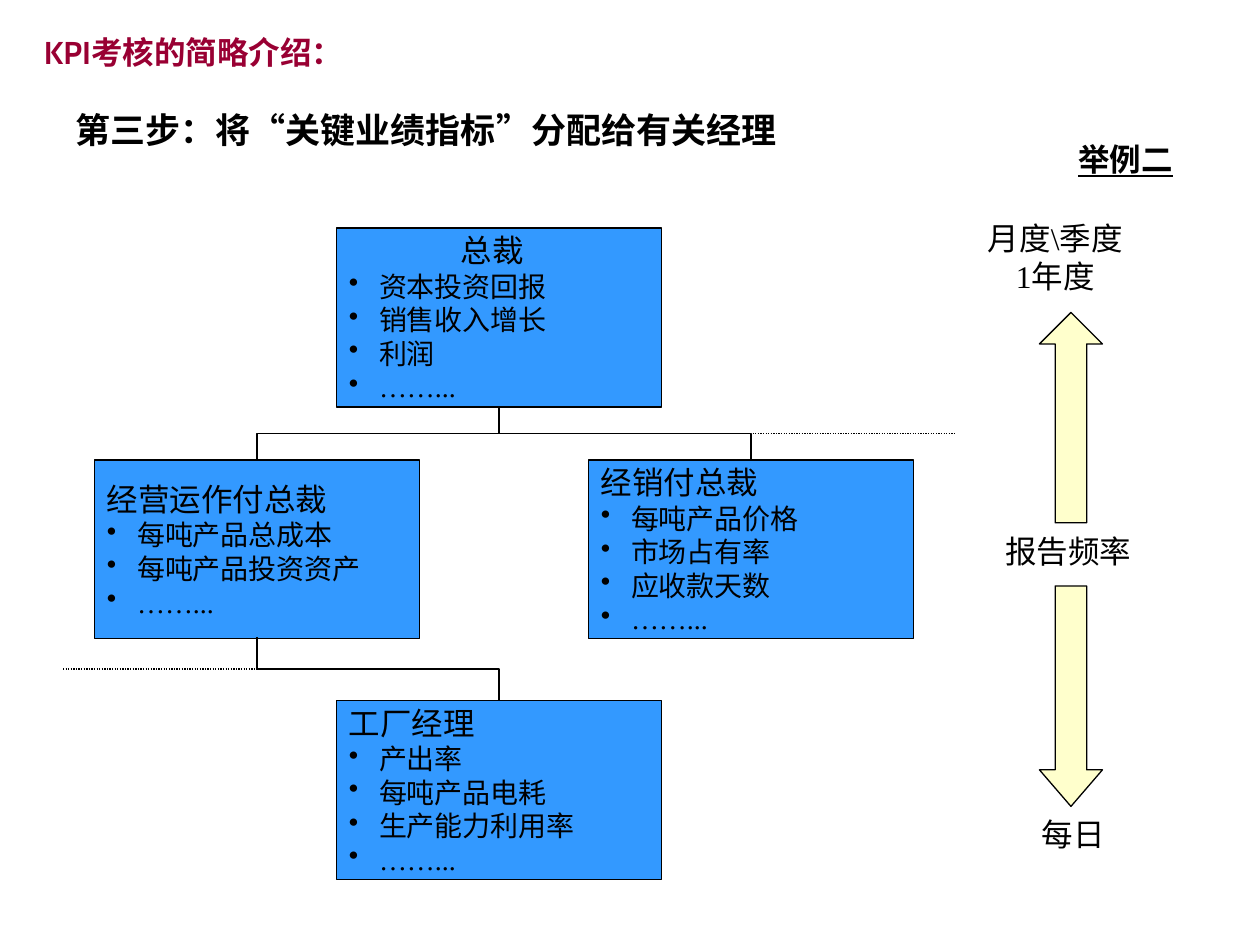
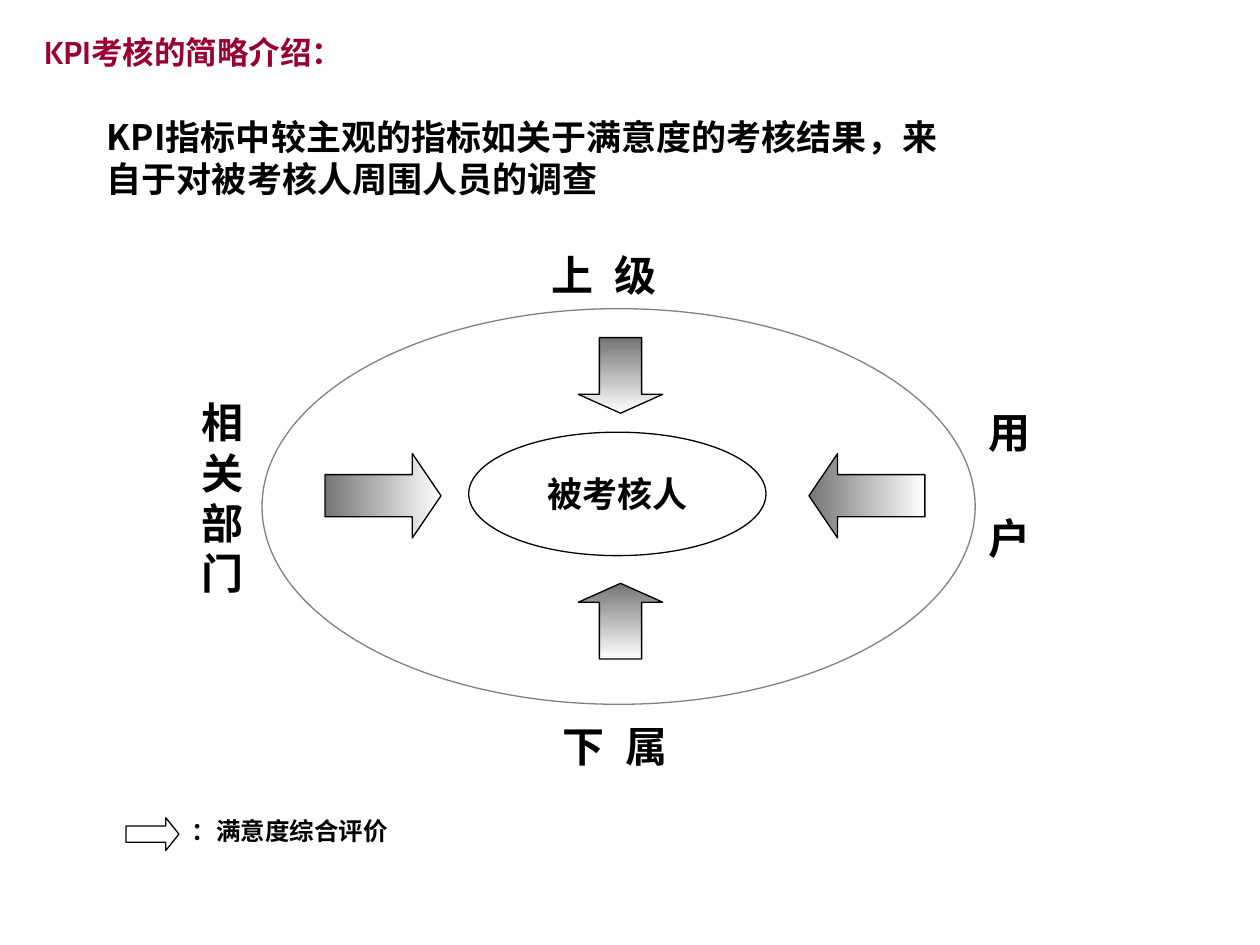
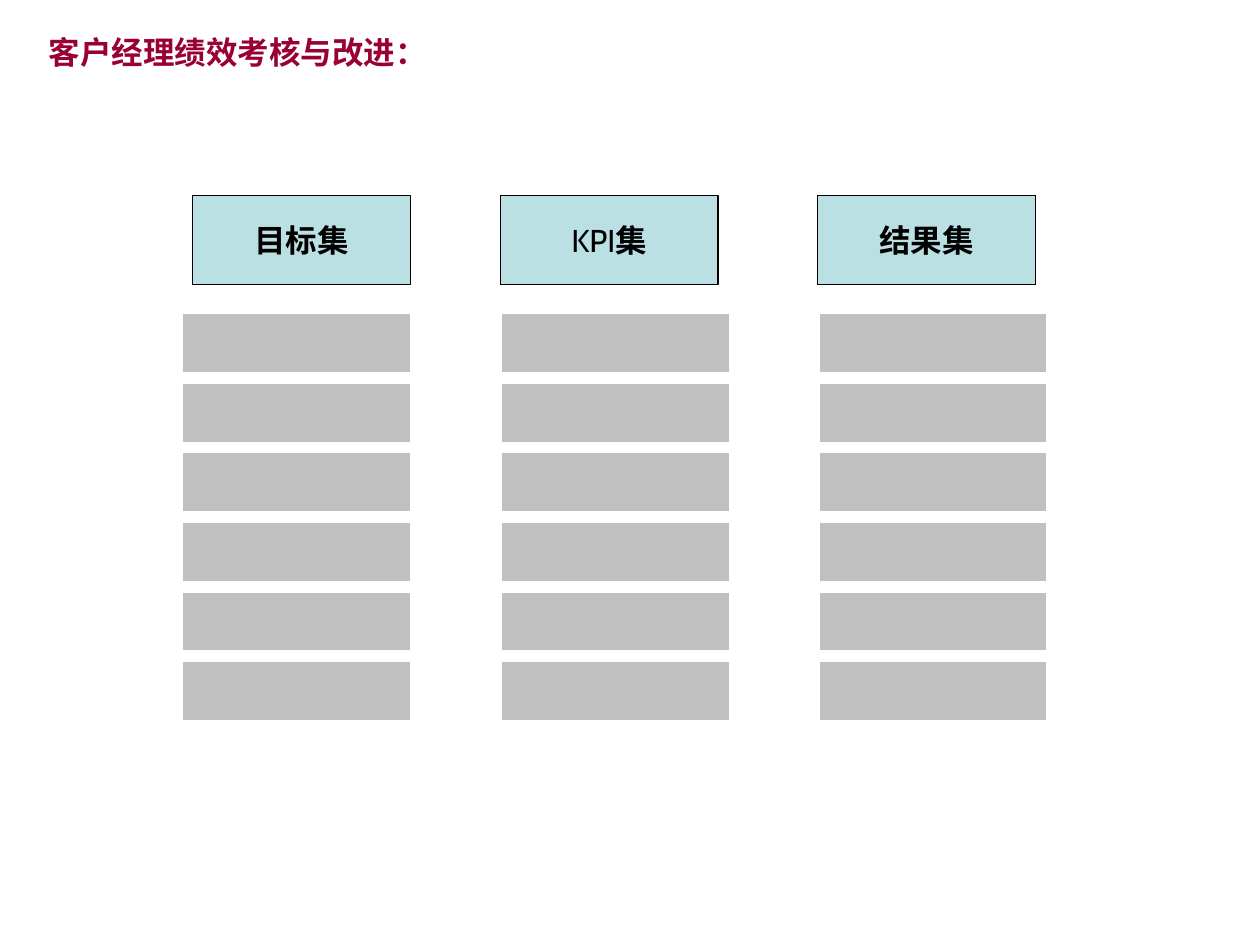
from dataclasses import dataclass

from lxml import etree
from pptx import Presentation
from pptx.dml.color import RGBColor
from pptx.enum.dml import MSO_LINE
from pptx.enum.shapes import MSO_CONNECTOR, MSO_SHAPE
from pptx.enum.text import MSO_ANCHOR, PP_ALIGN
from pptx.oxml.ns import qn
from pptx.util import Inches, Pt

RECTANGLE, ELLIPSE = MSO_SHAPE.RECTANGLE, MSO_SHAPE.OVAL
UP, DOWN = MSO_SHAPE.UP_ARROW, MSO_SHAPE.DOWN_ARROW
LEFT, RIGHT = MSO_SHAPE.LEFT_ARROW, MSO_SHAPE.RIGHT_ARROW
ELBOW, STRAIGHT = MSO_CONNECTOR.ELBOW, MSO_CONNECTOR.STRAIGHT
CENTER, MIDDLE, TOP = PP_ALIGN.CENTER, MSO_ANCHOR.MIDDLE, MSO_ANCHOR.TOP
DOTTED = MSO_LINE.ROUND_DOT


@dataclass(frozen=True)
class Theme:
    black: str = "000000"
    white: str = "FFFFFF"
    title: str = "990033"
    role: str = "3399FF"
    frequency: str = "FFFFCC"
    header: str = "BBE0E3"
    cell: str = "C0C0C0"
    ring: str = "808080"
    arrow: str = "757575"
    serif: str = "Times New Roman"
    sans: str = "Arial"
    latin: str = "Cabin"
    chinese: str = "Noto Sans CJK SC"
    side_size: int = 24
    heading_size: int = 20
    body_size: int = 18
    item_size: int = 16
    legend_size: int = 14
    line_width: float = 0.75


theme = Theme()


def draw(page, kind, box, fill=None, line=theme.black, adjustments=()):
    """Add a preset shape, or a text box when kind is None."""
    place = [Inches(length) for length in box]
    if kind is None:
        return page.shapes.add_textbox(*place)
    shape = page.shapes.add_shape(kind, *place)
    shape.shadow.inherit = False
    for index, value in enumerate(adjustments):
        shape.adjustments[index] = value
    if fill:
        shape.fill.solid()
        shape.fill.fore_color.rgb = RGBColor.from_string(fill)
    else:
        shape.fill.background()
    shape.line.color.rgb = RGBColor.from_string(line)
    shape.line.width = Pt(theme.line_width)
    return shape


def write(shape, lines, size=theme.body_size, font=theme.serif, color=theme.black,
          bold=False, underline=False, align=None, anchor=TOP, wrap=False,
          bulleted=False, first_indent=0, spacing=0):
    """Write lines; a line is a string or a list of (text, overrides)."""
    frame = shape.text_frame
    frame.word_wrap = wrap
    frame.vertical_anchor = anchor
    for number, line in enumerate(lines):
        para = frame.add_paragraph() if number else frame.paragraphs[0]
        para.alignment = align or PP_ALIGN.LEFT
        is_item = bulleted and number > 0
        properties = para._p.get_or_add_pPr()
        if is_item:
            properties.set("marL", str(Inches(0.24)))
            properties.set("indent", str(-Inches(0.24)))
            etree.SubElement(properties, qn("a:buChar")).set("char", "•")
        elif first_indent:
            properties.set("marL", str(Inches(first_indent)))
        for text, changes in [(line, {})] if isinstance(line, str) else line:
            span = para.add_run()
            span.text = text
            span.font.size = Pt(theme.item_size if is_item else size)
            span.font.name = changes.get("font", font)
            span.font.bold = changes.get("bold", bold)
            span.font.underline = underline
            span.font.color.rgb = RGBColor.from_string(color)
            run_properties = span._r.get_or_add_rPr()
            if spacing:
                run_properties.set("spc", str(spacing))
            east_asian = etree.SubElement(run_properties, qn("a:ea"))
            east_asian.set("typeface", theme.chinese)


deck = Presentation()
deck.slide_width, deck.slide_height = Inches(10), Inches(7.5)

# Slides and their titles
kpi_title = [("KPI", {"font": theme.latin}), ("考核的简略介绍：", {})]
titles = [(0.25, 2.68, kpi_title, theme.chinese),
          (0.25, 2.68, kpi_title, theme.chinese),
          (0.29, 3.2, "客户经理绩效考核与改进：", theme.sans)]
pages = []
for left, width, title, font in titles:
    page = deck.slides.add_slide(deck.slide_layouts[6])
    write(draw(page, None, (left, 0.21, width, 0.4)), [title],
          font=font, color=theme.title, bold=True)
    pages.append(page)
assignment, survey, sets = pages

# Slide 1: heading and example label
write(draw(assignment, None, (0.5, 0.81, 6.17, 0.44)),
      ["第三步：将“关键业绩指标”分配给有关经理"],
      size=theme.heading_size, bold=True, wrap=True)
write(draw(assignment, None, (8.46, 1.06, 0.95, 0.4)), ["举例二"],
      bold=True, underline=True)

# Slide 1: roles with their indicators
roles = [
    (2.67, 1.81, 0.89, ["总裁", "资本投资回报", "销售收入增长", "利润"]),
    (0.75, 3.65, 0, ["经营运作付总裁", "每吨产品总成本", "每吨产品投资资产"]),
    (4.67, 3.65, 0, ["经销付总裁", "每吨产品价格", "市场占有率", "应收款天数"]),
    (2.67, 5.56, 0, ["工厂经理", "产出率", "每吨产品电耗", "生产能力利用率"]),
]
for left, top, indent, lines in roles:
    role = draw(assignment, RECTANGLE, (left, top, 2.58, 1.42), fill=theme.role)
    write(role, lines + ["……..."], anchor=MIDDLE, wrap=True,
          bulleted=True, first_indent=indent)

# Slide 1: reporting lines, elbows turned to leave downwards, dotted extensions
links = []
for x1, y1, x2, y2 in [(3.96, 3.23, 5.96, 3.65), (3.96, 3.23, 2.04, 3.65),
                       (2.04, 5.06, 3.96, 5.56)]:
    middle_x, middle_y = (x1 + x2) / 2, (y1 + y2) / 2
    half_drop, half_span = (y2 - y1) / 2, abs(x2 - x1) / 2
    link = assignment.shapes.add_connector(
        ELBOW, Inches(middle_x - half_drop), Inches(middle_y - half_span),
        Inches(middle_x + half_drop), Inches(middle_y + half_span))
    turn = link._element.spPr.find(qn("a:xfrm"))
    turn.set("rot", str((270 if x2 > x1 else 90) * 60000))
    if x2 > x1:
        turn.set("flipH", "1")
    links.append(link)
for left, top in [(5.83, 3.44), (0.5, 5.31)]:
    link = assignment.shapes.add_connector(
        STRAIGHT, Inches(left), Inches(top), Inches(left + 1.75), Inches(top))
    link.line.dash_style = DOTTED
    links.append(link)
for link in links:
    link.line.color.rgb = RGBColor.from_string(theme.black)
    link.line.width = Pt(theme.line_width)
    etree.SubElement(link._element.spPr, qn("a:effectLst"))

# Slide 1: reporting frequency scale
for box, lines, align in [((7.68, 1.69, 1.39, 0.7), ["月度\\季度", "1年度"], CENTER),
                          ((7.88, 4.17, 1.2, 0.4), ["报告频率"], None),
                          ((8.17, 6.42, 0.7, 0.4), ["每日"], None)]:
    write(draw(assignment, None, box), lines, align=align)
draw(assignment, UP, (8.25, 2.48, 0.5, 1.67), theme.frequency, adjustments=(0.5, 0.5))
draw(assignment, DOWN, (8.25, 4.65, 0.5, 1.75), theme.frequency, adjustments=(0.5, 0.58))

# Slide 2: statement
write(draw(survey, None, (0.75, 0.87, 7.04, 0.61)),
      ["KPI指标中较主观的指标如关于满意度的考核结果，来自于对被考核人周围人员的调查"],
      size=theme.heading_size, font=theme.chinese, bold=True, wrap=True)

# Slide 2: person assessed inside the ring
draw(survey, ELLIPSE, (2.08, 2.45, 5.66, 3.14), theme.white, theme.ring)
write(draw(survey, ELLIPSE, (3.72, 3.43, 2.36, 0.98)), ["被考核人"],
      size=theme.heading_size, bold=True, align=CENTER, anchor=MIDDLE)

# Slide 2: groups around the ring
for text, box, wrap, spacing in [("上 级", (4.28, 1.93, 1.2, 0.5), False, 330),
                                 ("下 属", (4.37, 5.67, 1.2, 0.5), False, 330),
                                 ("用", (7.75, 3.18, 0.54, 0.9), False, 0),
                                 ("户", (7.75, 4.02, 0.54, 0.5), False, 0),
                                 ("相关部门", (1.5, 3.1, 0.58, 2.5), True, 0)]:
    write(draw(survey, None, box), [text], size=theme.side_size, font=theme.sans,
          bold=True, wrap=wrap, spacing=spacing)

# Slide 2: shaded arrows pointing inwards
for kind, box, head, angle in [(DOWN, (4.59, 2.68, 0.67, 0.6), 0.25, 270),
                               (UP, (4.59, 4.63, 0.67, 0.6), 0.25, 270),
                               (LEFT, (6.42, 3.6, 0.92, 0.67), 0.34, 0),
                               (RIGHT, (2.58, 3.6, 0.92, 0.67), 0.34, 0)]:
    arrow = draw(survey, kind, box, adjustments=(0.5, head))
    arrow.fill.gradient()
    arrow.fill.gradient_angle = angle
    for stop, color, position in zip(arrow.fill.gradient_stops,
                                     (theme.arrow, theme.white), (0, 1)):
        stop.color.rgb = RGBColor.from_string(color)
        stop.position = position

# Slide 2: legend
draw(survey, RIGHT, (1, 6.49, 0.42, 0.26), adjustments=(0.5, 0.4))
write(draw(survey, None, (1.42, 6.42, 1.76, 0.34)), ["：满意度综合评价"],
      size=theme.legend_size, bold=True, align=CENTER, anchor=MIDDLE)

# Slide 3: three columns, each a header over six equal cells
kpi_header = [("KPI", {"font": theme.latin, "bold": False}), ("集", {})]
row_count, first_row, last_row = 6, 2.49, 5.25
row_pitch = (last_row - first_row) / (row_count - 1)
for header, header_left, cell_left in [("目标集", 1.53, 1.45),
                                       (kpi_header, 3.97, 3.98),
                                       ("结果集", 6.49, 6.5)]:
    write(draw(sets, RECTANGLE, (header_left, 1.55, 1.73, 0.71), theme.header),
          [header], font=theme.sans, bold=True, align=CENTER, anchor=MIDDLE)
    for row in range(row_count):
        draw(sets, RECTANGLE, (cell_left, first_row + row * row_pitch, 1.81, 0.47),
             theme.cell, theme.white)

deck.save("out.pptx")
